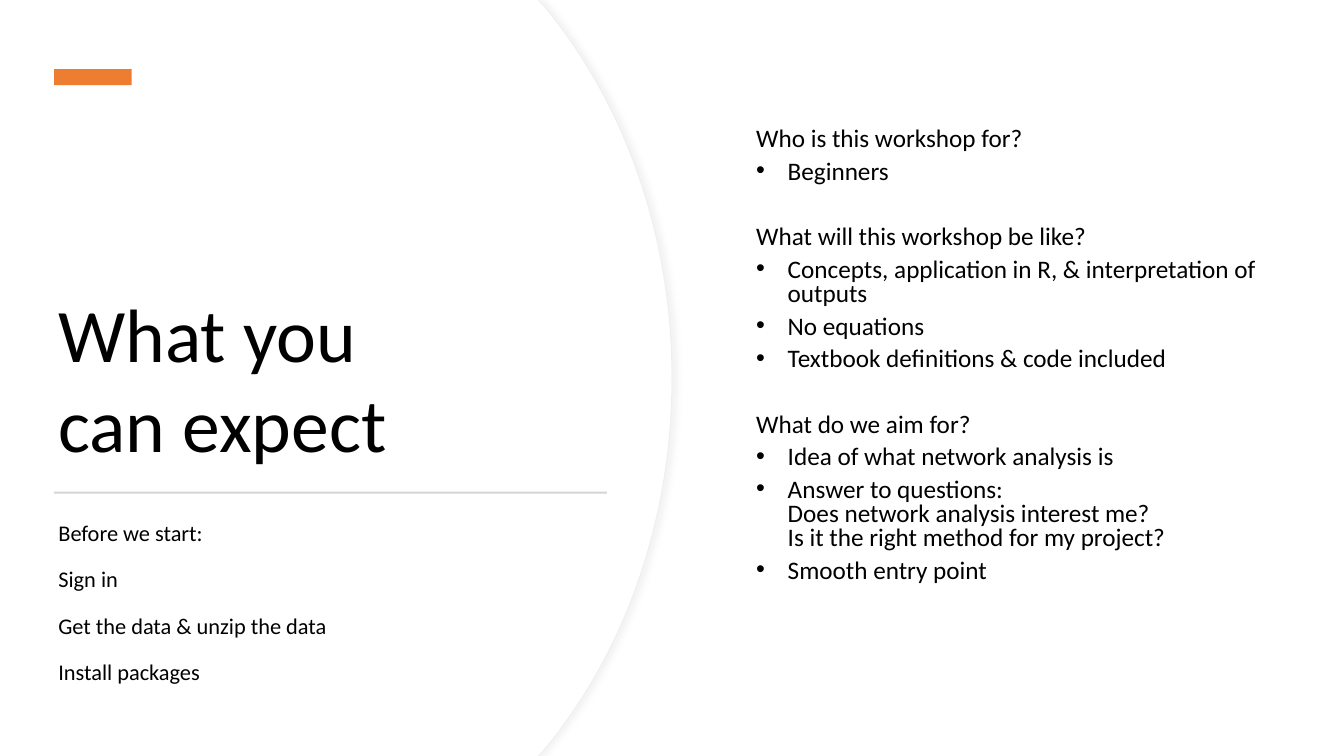
from dataclasses import dataclass
from lxml.etree import SubElement
from pptx import Presentation
from pptx.dml.color import RGBColor
from pptx.enum.shapes import MSO_SHAPE
from pptx.enum.text import MSO_ANCHOR
from pptx.oxml.ns import qn
from pptx.util import Pt

COLORS = {"white": "FFFFFF", "black": "000000", "edge": "EFEFEF",
          "shadow": "D9D9D9", "accent": "ED7D31", "rule": "D5D5D5"}
WIDTH, HEIGHT = 960, 540


@dataclass
class Bar:
    """A plain filled rectangle, in points."""
    left: float
    top: float
    width: float
    height: float
    color: str
    rotation: float = 0


@dataclass
class Section:
    """A question with its bulleted answers."""
    question: str
    answers: list[str]


BARS = [Bar(60.5, 27.4, 11.5, 55.4, "accent", 90), Bar(38.5, 351.2, 395, 1.4, "rule")]
TITLE = ["What you", "can expect"]
STEPS_BEFORE = ["Before we start:", "Sign in", "Get the data & unzip the data",
                "Install packages"]
SECTIONS = [
    Section("Who is this workshop for?", ["Beginners"]),
    Section("What will this workshop be like?", [
        "Concepts, application in R, & interpretation of outputs",
        "No equations", "Textbook definitions & code included"]),
    Section("What do we aim for?", [
        "Idea of what network analysis is",
        "Answer to questions:\nDoes network analysis interest me?\n"
        "Is it the right method for my project?",
        "Smooth entry point"]),
]


def rgb(name: str) -> RGBColor:
    """Return a named colour."""
    return RGBColor.from_string(COLORS[name])


def fill(sp, color: str) -> None:
    """Give a shape a solid fill, no line and no shadow."""
    sp.shadow.inherit = False
    sp.fill.solid()
    sp.fill.fore_color.rgb = rgb(color)
    sp.line.fill.background()


def add_bar(s, bar: Bar) -> None:
    """Draw one bar."""
    sp = s.shapes.add_shape(MSO_SHAPE.RECTANGLE, Pt(bar.left), Pt(bar.top),
                            Pt(bar.width), Pt(bar.height))
    sp.rotation = bar.rotation
    fill(sp, bar.color)


def bend(segment, controls: list[tuple[float, float]]) -> None:
    """Turn a straight path segment into a cubic curve."""
    segment.tag = qn("a:cubicBezTo")
    for i, (x, y) in enumerate(controls):
        pt = segment.makeelement(qn("a:pt"), {"x": str(Pt(x)), "y": str(Pt(y))})
        segment.insert(i, pt)


def add_panel(s, right: float):
    """Draw the white panel whose right side bulges out to the given x."""
    shoulder, corner = right - 90.5, right - 95.5
    outline = [(corner, 0), (shoulder, 5.6), (right, HEIGHT / 2),
               (shoulder, HEIGHT - 5.6), (corner, HEIGHT), (0, HEIGHT)]
    builder = s.shapes.build_freeform(0, 0)
    builder.add_line_segments([(Pt(x), Pt(y)) for x, y in outline])
    sp = builder.convert_to_shape()
    upper = [(right - 34.5, 73.4), (right, 167)]
    lower = [(x, HEIGHT - y) for x, y in reversed(upper)]
    segments = list(sp._element.iter(qn("a:lnTo")))
    bend(segments[2], upper)
    bend(segments[3], lower)
    sp._element.remove(sp._element.find(qn("p:style")))
    fill(sp, "white")
    return sp


def add_edge(sp) -> None:
    """Give the panel its thin outline and soft shadow."""
    sp.line.color.rgb = rgb("edge")
    sp.line.width = Pt(0.75)
    effects = sp._element.spPr.find(qn("a:effectLst"))
    shadow = SubElement(effects, qn("a:outerShdw"), blurRad=str(Pt(4)),
                        dist=str(Pt(3)), dir="0", algn="l", rotWithShape="0")
    color = SubElement(shadow, qn("a:srgbClr"), val=COLORS["shadow"])
    SubElement(color, qn("a:alpha"), val="30000")


def add_box(s, left: float, top: float, width: float, height: float,
            anchor: MSO_ANCHOR = MSO_ANCHOR.TOP):
    """Add a wrapping text box and return its text frame."""
    tf = s.shapes.add_textbox(Pt(left), Pt(top), Pt(width), Pt(height)).text_frame
    tf.word_wrap = True
    tf.vertical_anchor = anchor
    return tf


def add_text(tf, text: str, *, size: float, spacing: float, before: float = 0,
             bullet: bool = False) -> None:
    """Append one formatted paragraph to a text frame."""
    first = not tf.text
    p = tf.paragraphs[0] if first else tf.add_paragraph()
    p.text = text
    p.line_spacing = spacing
    p.space_before = Pt(0 if first else before)
    p.space_after = Pt(6)
    if bullet:
        pPr = p._p.get_or_add_pPr()
        pPr.set("marL", str(Pt(22.5)))
        pPr.set("indent", str(Pt(-22.5)))
        SubElement(pPr, qn("a:buFont"), typeface="Arial")
        SubElement(pPr, qn("a:buChar"), char="•")
    for r in p.runs:
        r.font.name = "Calibri"
        r.font.size = Pt(size)
        r.font.color.rgb = rgb("black")


def main() -> None:
    """Build the slide and save it."""
    prs = Presentation()
    prs.slide_width, prs.slide_height = Pt(WIDTH), Pt(HEIGHT)
    s = prs.slides.add_slide(prs.slide_layouts[6])
    add_edge(add_panel(s, 480))
    add_panel(s, 479.5)

    title = add_box(s, 34.6, 120.2, 395, 218.2, MSO_ANCHOR.BOTTOM)
    for line in TITLE:
        add_text(title, line, size=54, spacing=0.9)
    before = add_box(s, 34.6, 369.2, 387.4, 105)
    for line in STEPS_BEFORE:
        add_text(before, line, size=16, spacing=0.9, before=10)
    for bar in BARS:
        add_bar(s, bar)

    agenda = add_box(s, 533.1, 88.1, 396, 363.6)
    for section in SECTIONS:
        add_text(agenda, section.question, size=18, spacing=0.8, before=23.4)
        for answer in section.answers:
            add_text(agenda, answer, size=18, spacing=0.8, bullet=True)
    prs.save("out.pptx")


if __name__ == "__main__":
    main()
